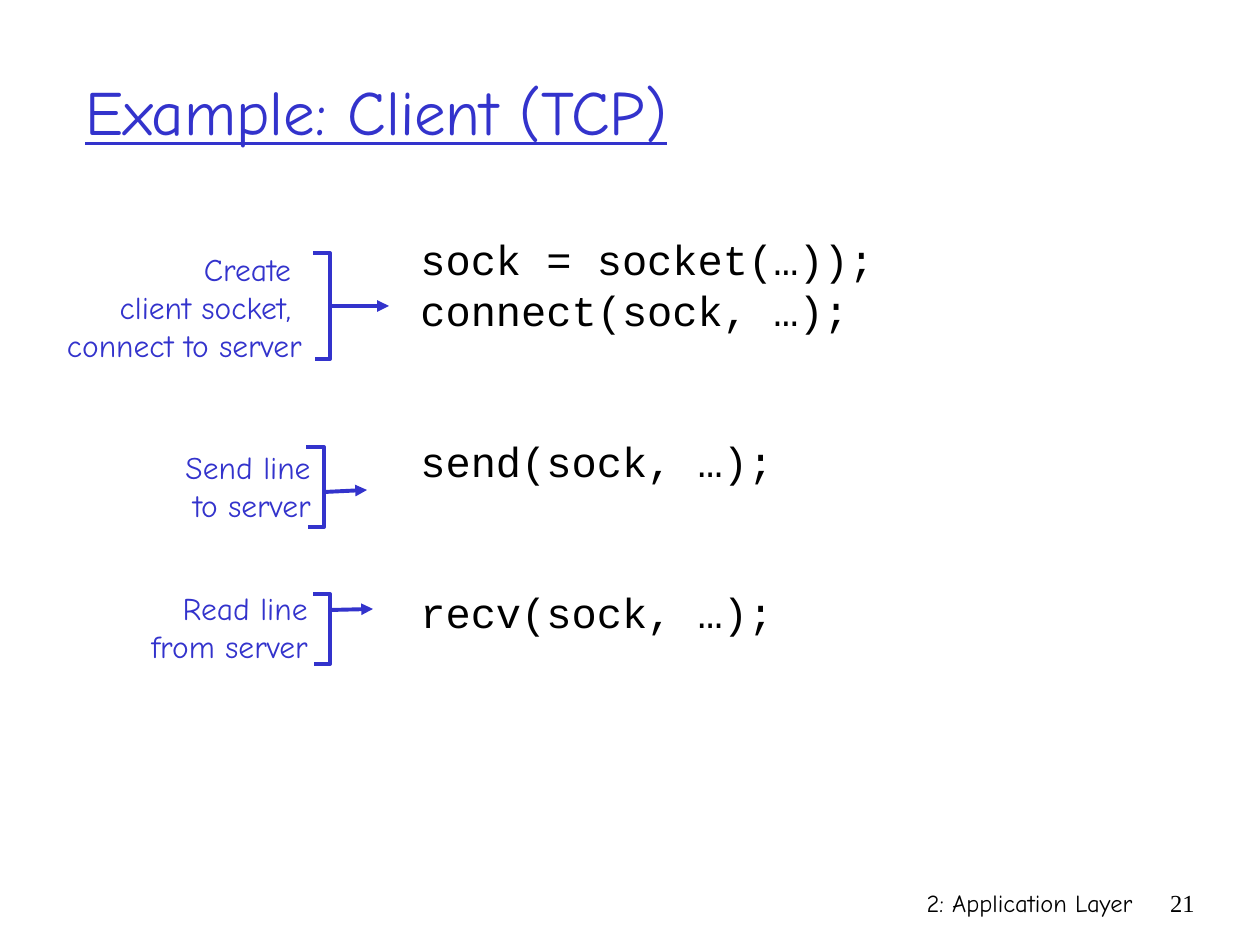
from dataclasses import dataclass

from lxml import etree
from pptx import Presentation
from pptx.dml.color import RGBColor
from pptx.enum.shapes import MSO_CONNECTOR
from pptx.enum.text import MSO_ANCHOR, PP_ALIGN
from pptx.oxml.ns import qn
from pptx.util import Emu, Pt

STRAIGHT = MSO_CONNECTOR.STRAIGHT
TOP, MIDDLE = MSO_ANCHOR.TOP, MSO_ANCHOR.MIDDLE
LEFT, RIGHT = PP_ALIGN.LEFT, PP_ALIGN.RIGHT

PX = 914400 / 126
COLORS = {"blue": "3333CC", "black": "000000"}
HAND, CODE, SERIF = "Comic Neue", "Courier New", "Times New Roman"
LINE_WIDTH = Pt(2.25)
STEP_GAP = 57.5


@dataclass(frozen=True)
class Area:
    left: int
    top: int
    width: int
    height: int


@dataclass(frozen=True)
class Style:
    font: str
    size: int
    color: str
    align: PP_ALIGN = LEFT
    underline: bool = False


@dataclass(frozen=True)
class Line:
    text: str
    gap: float = 0


@dataclass(frozen=True)
class Step:
    label: tuple[str, ...]
    label_area: Area
    bracket: Area
    lower_left: int
    arrow_start: tuple[int, int]
    arrow_end: tuple[int, int]


TITLE = Style(HAND, 36, "blue", underline=True)
LABEL = Style(HAND, 18, "blue", RIGHT)
PROGRAM = Style(CODE, 24, "black")
FOOTER = Style(HAND, 14, "black", RIGHT)
NUMBER = Style(SERIF, 14, "black", RIGHT)

PROGRAM_LINES = (
    Line("sock = socket(…));"),
    Line("connect(sock, …);"),
    Line("send(sock, …);", STEP_GAP),
    Line("recv(sock, …);", STEP_GAP),
)

STEPS = (
    Step(("Create ", "client socket, ", "connect to server"), Area(53, 244, 261, 126),
         Area(313, 253, 17, 106), 315, (330, 306), (389, 306)),
    Step(("Send line", "to server"), Area(173, 442, 150, 88),
         Area(306, 447, 18, 80), 308, (324, 492), (367, 490)),
    Step(("Read line", "from server"), Area(137, 583, 183, 88),
         Area(313, 594, 17, 70), 314, (331, 610), (373, 609)),
)


def emu(pixels: int) -> Emu:
    return Emu(round(pixels * PX))


def add_text(page, area: Area, lines: tuple[Line, ...], style: Style,
             anchor=TOP, wrap: bool = True, top_inset: int = 6) -> None:
    box = page.shapes.add_textbox(emu(area.left), emu(area.top), emu(area.width), emu(area.height))
    frame = box.text_frame
    frame.word_wrap = wrap
    frame.vertical_anchor = anchor
    frame.margin_top = emu(top_inset)
    for index, line in enumerate(lines):
        para = frame.add_paragraph() if index else frame.paragraphs[0]
        para.alignment = style.align
        para.space_before = Pt(line.gap)
        span = para.add_run()
        span.text = line.text
        span.font.name = style.font
        span.font.size = Pt(style.size)
        span.font.underline = style.underline
        span.font.color.rgb = RGBColor.from_string(COLORS[style.color])


def set_stroke(shape) -> None:
    shape.line.color.rgb = RGBColor.from_string(COLORS["blue"])
    shape.line.width = LINE_WIDTH


def add_bracket(page, area: Area, lower_left: int) -> None:
    right, bottom = area.left + area.width, area.top + area.height
    builder = page.shapes.build_freeform(area.left, area.top, scale=PX)
    builder.add_line_segments(
        [(right, area.top), (right, bottom), (lower_left, bottom)], close=False)
    bracket = builder.convert_to_shape()
    bracket.shadow.inherit = False
    bracket.fill.background()
    set_stroke(bracket)


def add_arrow(page, start: tuple[int, int], end: tuple[int, int]) -> None:
    arrow = page.shapes.add_connector(STRAIGHT, *map(emu, start + end))
    set_stroke(arrow)
    etree.SubElement(arrow.line._get_or_add_ln(), qn("a:tailEnd"), type="triangle")
    etree.SubElement(arrow._element.spPr, qn("a:effectLst"))


def add_step(page, step: Step) -> None:
    add_text(page, step.label_area, tuple(map(Line, step.label)), LABEL, MIDDLE, wrap=False)
    add_bracket(page, step.bracket, step.lower_left)
    add_arrow(page, step.arrow_start, step.arrow_end)


def main() -> None:
    deck = Presentation()
    deck.slide_width, deck.slide_height = emu(1260), emu(945)
    page = deck.slides.add_slide(deck.slide_layouts[6])
    add_text(page, Area(746, 882, 399, 63), (Line("2: Application Layer"),), FOOTER)
    add_text(page, Area(1144, 882, 63, 63), (Line("21"),), NUMBER)
    add_text(page, Area(73, 32, 1071, 157), (Line("Example: Client (TCP)"),), TITLE, MIDDLE)
    add_text(page, Area(408, 190, 743, 504), PROGRAM_LINES, PROGRAM, top_inset=44)
    for step in STEPS:
        add_step(page, step)
    deck.save("out.pptx")


if __name__ == "__main__":
    main()
